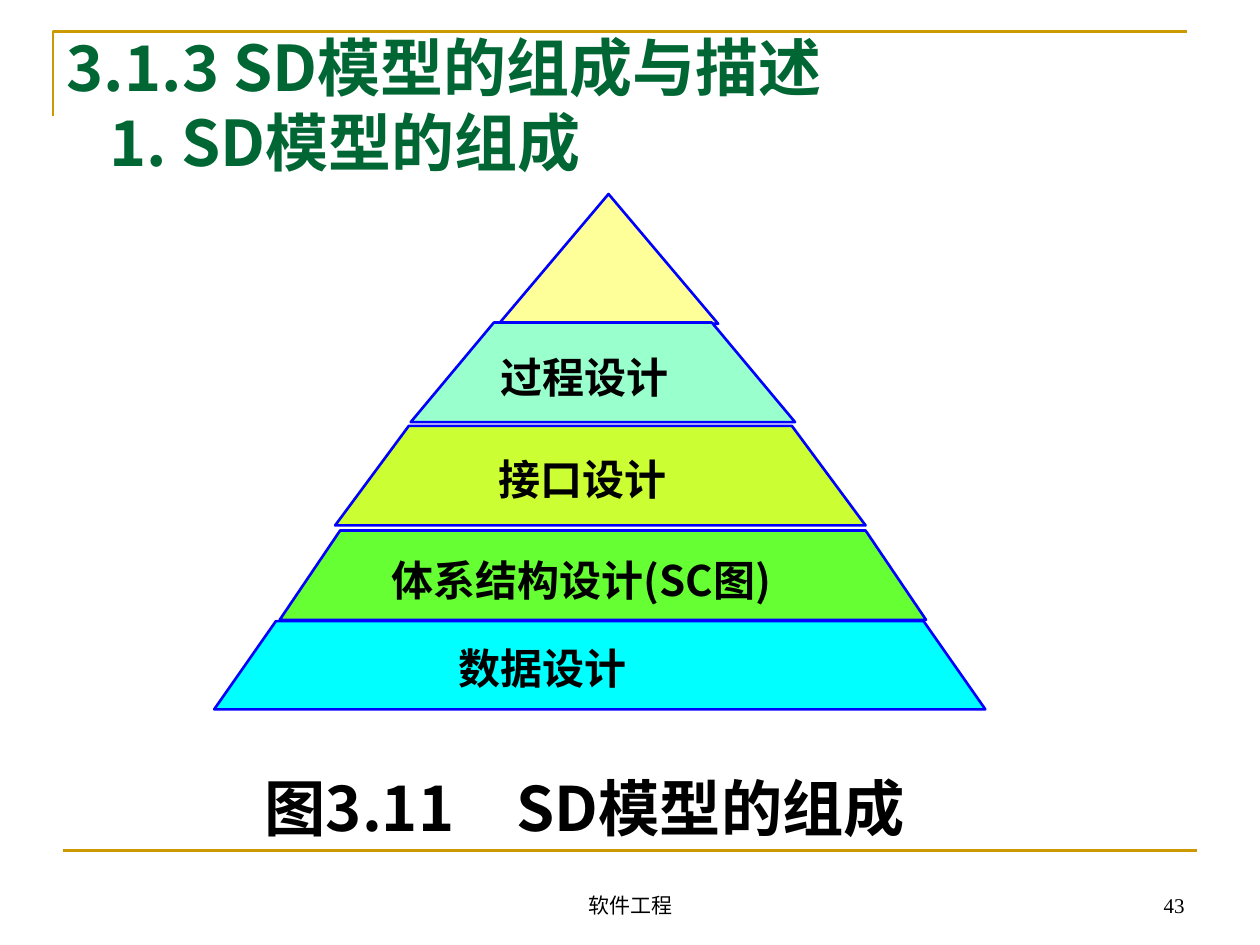
from lxml.etree import SubElement
from pptx import Presentation
from pptx.dml.color import RGBColor
from pptx.enum.shapes import MSO_CONNECTOR
from pptx.enum.text import MSO_ANCHOR, PP_ALIGN
from pptx.oxml.ns import qn
from pptx.util import Inches, Pt

COLORS = {
    "frame": "CC9900", "title": "006633", "text": "000000", "edge": "0000FF",
    "apex": "FFFF99", "process": "99FFCC", "interface": "CCFF33",
    "architecture": "66FF33", "data": "00FFFF",
}
CJK_FONT = "Noto Sans CJK SC"

deck = Presentation()
deck.slide_width, deck.slide_height = Inches(10), Inches(7.5)
slide = deck.slides.add_slide(deck.slide_layouts[6])

# Every length below counts columns and rows of this grid.
COL = deck.slide_width / 100
ROW = deck.slide_height / 75


def add_text(lines, left, top, width, height, *, size, color="text", bold=True,
             font=CJK_FONT, align=PP_ALIGN.LEFT, anchor=MSO_ANCHOR.MIDDLE,
             inset=(0.8, 0.4), indents=(0,), tab=None, wrap=True):
    """Add a text box; indents holds one left margin per line, tab one stop."""
    box = slide.shapes.add_textbox(int(left * COL), int(top * ROW),
                                   int(width * COL), int(height * ROW))
    frame = box.text_frame
    frame.word_wrap, frame.vertical_anchor = wrap, anchor
    frame.margin_left = frame.margin_right = int(inset[0] * COL)
    frame.margin_top = frame.margin_bottom = int(inset[1] * ROW)
    frame.text = lines
    for paragraph, indent in zip(frame.paragraphs, indents):
        paragraph.alignment = align
        properties = paragraph._p.get_or_add_pPr()
        properties.set("marL", str(int(indent * COL)))
        properties.set("indent", "0")
        if tab:
            stops = SubElement(properties, qn("a:tabLst"))
            SubElement(stops, qn("a:tab"), pos=str(int(tab * COL)), algn="l")
        for run in paragraph.runs:
            run.font.size, run.font.bold, run.font.name = Pt(size), bold, font
            run.font.color.rgb = RGBColor.from_string(COLORS[color])
            SubElement(run._r.get_or_add_rPr(), qn("a:ea"), typeface=CJK_FONT)


def add_outline(points, line, fill=None):
    """Draw a path through the points, closed only when it has a fill."""
    corners = [(int(x * COL), int(y * ROW)) for x, y in points]
    builder = slide.shapes.build_freeform(*corners[0])
    builder.add_line_segments(corners[1:], close=fill is not None)
    outline = builder.convert_to_shape()
    outline.shadow.inherit = False
    outline.line.color.rgb = RGBColor.from_string(COLORS[line])
    outline.line.width = Pt(1.5)
    if fill:
        outline.fill.solid()
        outline.fill.fore_color.rgb = RGBColor.from_string(COLORS[fill])
    else:
        outline.fill.background()


# Page frame
add_outline([(4.2, 9.2), (4.2, 2.5), (94.2, 2.5)], "frame")
footer_rule = slide.shapes.add_connector(
    MSO_CONNECTOR.STRAIGHT, int(5 * COL), int(67.5 * ROW),
    int(95 * COL), int(67.5 * ROW))
footer_rule.line.color.rgb = RGBColor.from_string(COLORS["frame"])
footer_rule.line.width = Pt(1.5)
SubElement(footer_rule._element.spPr, qn("a:effectLst"))

add_text("3.1.3 SD模型的组成与描述\n1. SD模型的组成", 2.3, 2.6, 93.9, 11.3,
         size=36, color="title", indents=(2.2, 5.6))

# Pyramid: centre, top, bottom, half width at top and at bottom
add_outline([(48.3, 15.4), (39.6, 25.7), (57, 25.7)], "edge", "apex")
tiers = [
    ("data", 47.6, 49.3, 56.3, 25.7, 30.6),
    ("architecture", 47.85, 42.1, 49.2, 20.85, 25.65),
    ("interface", 47.65, 33.8, 41.7, 15.2, 21.05),
    ("process", 47.85, 25.6, 33.5, 8.65, 15.25),
]
for tier, centre, top, bottom, half_top, half_bottom in tiers:
    add_outline([(centre - half_bottom, bottom), (centre - half_top, top),
                 (centre + half_top, top), (centre + half_bottom, bottom)],
                "edge", tier)

tier_labels = [
    ("过程设计", 39.7, 27.9, 17.1),
    ("接口设计", 39.6, 36, 16.9),
    ("体系结构设计(SC图)", 31.1, 44, 34.9),
    ("数据设计", 36.4, 51, 20.7),
]
for label, left, top, width in tier_labels:
    add_text(label, left, top, width, 4, size=24, anchor=MSO_ANCHOR.TOP,
             inset=(0, 0), wrap=False)

add_text("图3.11\tSD模型的组成", 20.2, 61.2, 57.8, 5.7, size=35, tab=18.5)

# Footer
for note, left, width, align in [("软件工程", 34.2, 31.7, PP_ALIGN.CENTER),
                                 ("43", 71.7, 23.3, PP_ALIGN.RIGHT)]:
    add_text(note, left, 68.3, width, 5, size=12, bold=False, align=align,
             font="Times New Roman", anchor=MSO_ANCHOR.BOTTOM, inset=(1, 0.5))

deck.save("out.pptx")
